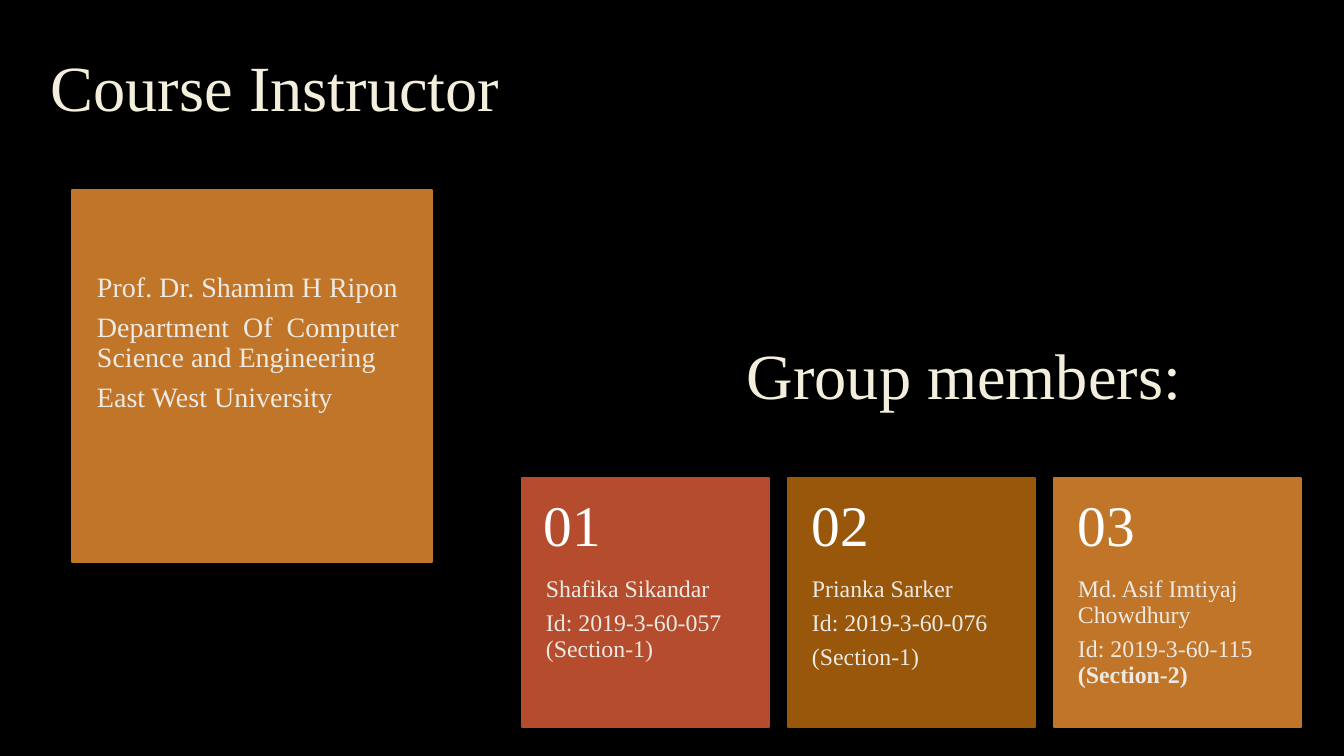
import pptx
import pptx.util
import pptx.dml.color
import pptx.enum.shapes
import pptx.enum.text

RGB = pptx.dml.color.RGBColor
ALIGN = pptx.enum.text.PP_ALIGN
ANCHOR = pptx.enum.text.MSO_ANCHOR

BLACK = RGB(0x00, 0x00, 0x00)
CREAM = RGB(0xF4, 0xEE, 0xDC)
PALE = RGB(0xEC, 0xEA, 0xE3)
WHITE = RGB(0xFF, 0xFF, 0xFF)
RED = RGB(0xB5, 0x4C, 0x2D)
BROWN = RGB(0x99, 0x57, 0x0C)
ORANGE = RGB(0xC1, 0x75, 0x29)
FONT = "Times New Roman"

# Content: a paragraph is a list of (text, bold) spans
HEADINGS = [("Course Instructor", -33, 43), ("Group members:", 656, 331)]
INSTRUCTOR = [
    [("Prof. Dr. Shamim H Ripon", False)],
    [("Department Of Computer Science and Engineering", False)],
    [("East West University", False)],
]
# Fill, number, left shift of the number, details
MEMBERS = [
    (RED, "01", -2, [
        [("Shafika Sikandar", False)],
        [("Id: 2019-3-60-057 (Section-1)", False)],
    ]),
    (BROWN, "02", 0, [
        [("Prianka Sarker", False)],
        [("Id: 2019-3-60-076", False)],
        [("(Section-1)", False)],
    ]),
    (ORANGE, "03", 0, [
        [("Md. Asif Imtiyaj Chowdhury", False)],
        [("Id: 2019-3-60-115 ", False), ("(Section-2)", True)],
    ]),
]

# Layout in px
PAGE_W, PAGE_H = 1344, 756
HEADING_W, HEADING_H = 616, 95
CARD_LEFT, CARD_TOP, CARD_W, CARD_H, CARD_STEP = 522, 478, 247, 249, 266
NUMBER_H = 99


def px(length):
    return pptx.util.Emu(round(length * 914400 / 100.8))


def add_panel(page, left, top, width, height, color):
    panel = page.shapes.add_shape(
        pptx.enum.shapes.MSO_SHAPE.RECTANGLE,
        px(left), px(top), px(width), px(height))
    panel.shadow.inherit = False
    panel.fill.solid()
    panel.fill.fore_color.rgb = color
    panel.line.color.rgb = color
    panel.line.width = pptx.util.Pt(1.25)


def add_text(page, paragraphs, left, top, width, height, *, size, color,
             align=ALIGN.LEFT, anchor=ANCHOR.TOP, insets=(10, 5, 10, 5),
             space_after=0):
    box = page.shapes.add_textbox(px(left), px(top), px(width), px(height))
    frame = box.text_frame
    frame.word_wrap = True
    frame.vertical_anchor = anchor
    (frame.margin_left, frame.margin_top,
     frame.margin_right, frame.margin_bottom) = map(px, insets)
    for index, spans in enumerate(paragraphs):
        para = frame.add_paragraph() if index else frame.paragraphs[0]
        para.alignment = align
        para.line_spacing = 0.9
        para.space_after = pptx.util.Pt(space_after)
        for text, bold in spans:
            span = para.add_run()
            span.text = text
            span.font.name = FONT
            span.font.size = pptx.util.Pt(size)
            span.font.bold = bold
            span.font.color.rgb = color


def main():
    deck = pptx.Presentation()
    deck.slide_width, deck.slide_height = px(PAGE_W), px(PAGE_H)
    page = deck.slides.add_slide(deck.slide_layouts[6])
    page.background.fill.solid()
    page.background.fill.fore_color.rgb = BLACK

    # Headings
    for text, left, top in HEADINGS:
        add_text(page, [[(text, False)]], left, top, HEADING_W, HEADING_H,
                 size=46, color=CREAM, align=ALIGN.CENTER,
                 anchor=ANCHOR.MIDDLE)

    # Instructor panel
    add_panel(page, 72, 190, 360, 372, ORANGE)
    add_text(page, INSTRUCTOR, 68, 273, 360, 224, size=20, color=PALE,
             align=ALIGN.JUSTIFY, insets=(29, 0, 29, 36), space_after=7)

    # Member cards
    for index, (fill, number, shift, details) in enumerate(MEMBERS):
        left = CARD_LEFT + index * CARD_STEP
        add_panel(page, left, CARD_TOP, CARD_W, CARD_H, fill)
        add_text(page, details, left, CARD_TOP + NUMBER_H,
                 CARD_W, CARD_H - NUMBER_H, size=17, color=PALE,
                 insets=(24, 0, 24, 36), space_after=6)
        add_text(page, [[(number, False)]], left + shift, CARD_TOP,
                 CARD_W, NUMBER_H, size=41, color=WHITE,
                 anchor=ANCHOR.MIDDLE, insets=(24, 18, 24, 18))

    deck.save("out.pptx")


if __name__ == "__main__":
    main()
